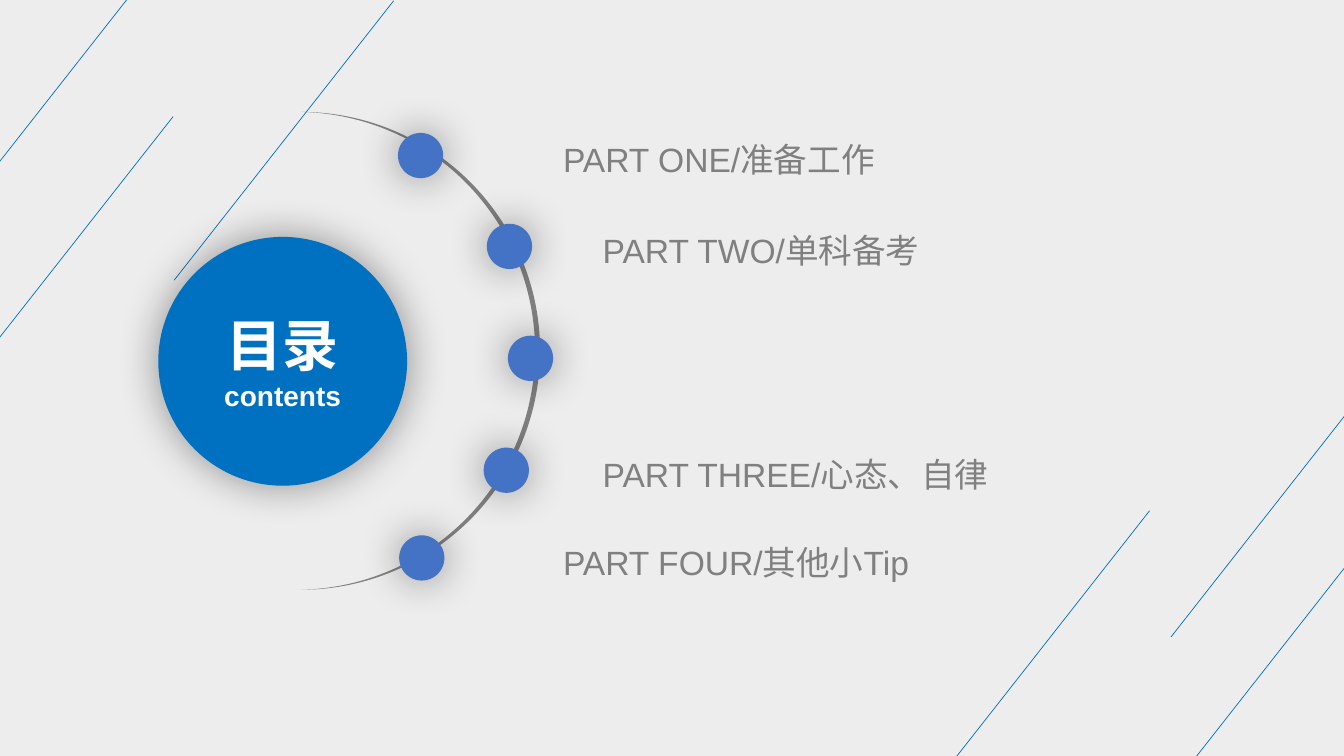
import pptx
import pptx.util
import pptx.dml.color
import pptx.enum.shapes
import pptx.enum.text
import pptx.oxml
import pptx.oxml.ns
from pptx.util import Cm

RGBColor = pptx.dml.color.RGBColor
SHAPE = pptx.enum.shapes.MSO_SHAPE
ALIGN = pptx.enum.text.PP_ALIGN
BLUE = RGBColor(0x00, 0x70, 0xC0)
DOT = RGBColor(0x44, 0x72, 0xC4)
GREY = RGBColor(0x80, 0x80, 0x80)
PALE = RGBColor(0xD9, 0xD9, 0xD9)
WHITE = RGBColor(0xFF, 0xFF, 0xFF)
NS = pptx.oxml.ns.nsdecls("a")
GLOW = (f'<a:outerShdw {NS} blurRad="381000" dist="0" algn="ctr" rotWithShape="0">'
        '<a:srgbClr val="000000"><a:alpha val="40000"/></a:srgbClr></a:outerShdw>')

deck = pptx.Presentation()
deck.slide_width, deck.slide_height = Cm(33.87), Cm(19.05)
slide = deck.slides.add_slide(deck.slide_layouts[6])
shapes = slide.shapes


def add_form(kind, left, top, width, height, color, glow=False):
    form = shapes.add_shape(kind, Cm(left), Cm(top), Cm(width), Cm(height))
    form.fill.solid()
    form.fill.fore_color.rgb = color
    form.line.fill.background()
    form.shadow.inherit = False
    if glow:
        effects = form._element.spPr.find(pptx.oxml.ns.qn("a:effectLst"))
        effects.append(pptx.oxml.parse_xml(GLOW))
    return form


def write(par, text, size, color, bold=False, align=ALIGN.LEFT, spacing=1.0):
    par.alignment = align
    par.line_spacing = spacing
    run = par.add_run()
    run.text = text
    run.font.name = "Arial"
    run.font.size = pptx.util.Pt(size)
    run.font.bold = bold
    run.font.color.rgb = color


# Pale backdrop
back = add_form(SHAPE.RECTANGLE, 0, 0, 33.87, 19.05, PALE)
tint = back._element.spPr.find(".//" + pptx.oxml.ns.qn("a:srgbClr"))
tint.append(pptx.oxml.parse_xml(f'<a:alpha {NS} val="46000"/>'))

# Parallel slanted lines, each from its lower left end
for x, y in [(23.44, 19.91), (29.51, 16.05), (-1.17, 9.98),
             (4.39, 7.06), (28.98, 20.55), (0, 4.06)]:
    line = shapes.add_connector(pptx.enum.shapes.MSO_CONNECTOR.STRAIGHT,
                                Cm(x), Cm(y), Cm(x + 5.53), Cm(y - 7.04))
    line.line.color.rgb = BLUE
    line.line.width = pptx.util.Pt(0.5)
    line._element.spPr.append(pptx.oxml.parse_xml(f"<a:effectLst {NS}/>"))

# Title disc
disc = add_form(SHAPE.OVAL, 3.99, 5.97, 6.27, 6.27, BLUE, glow=True)
frame = disc.text_frame
frame.word_wrap = True
frame.vertical_anchor = pptx.enum.text.MSO_ANCHOR.MIDDLE
write(frame.paragraphs[0], "目录", 40, WHITE, bold=True, align=ALIGN.CENTER)
write(frame.add_paragraph(), "contents", 20, WHITE, bold=True, align=ALIGN.CENTER)

# Thin arc with its dots
arc = add_form(SHAPE.MOON, 7.59, 2.82, 6.02, 12.04, GREY)
arc.rotation = 180
arc.adjustments[0] = 0.021
for x, y in [(10.03, 3.35), (12.27, 5.64), (12.8, 8.46), (12.19, 11.28), (10.06, 13.49)]:
    add_form(SHAPE.OVAL, x, y, 1.14, 1.14, DOT, glow=True)

# Contents entries
for text, x, y in [("PART ONE/准备工作", 13.94, 2.87),
                   ("PART TWO/单科备考", 14.94, 5.16),
                   ("PART THREE/心态、自律", 14.94, 10.8),
                   ("PART FOUR/其他小Tip", 13.94, 13.03)]:
    frame = shapes.add_textbox(Cm(x), Cm(y), Cm(12.19), Cm(1.6)).text_frame
    frame.word_wrap = True
    frame.auto_size = pptx.enum.text.MSO_AUTO_SIZE.SHAPE_TO_FIT_TEXT
    write(frame.paragraphs[0], text, 24, GREY, spacing=1.5)

deck.save("out.pptx")
